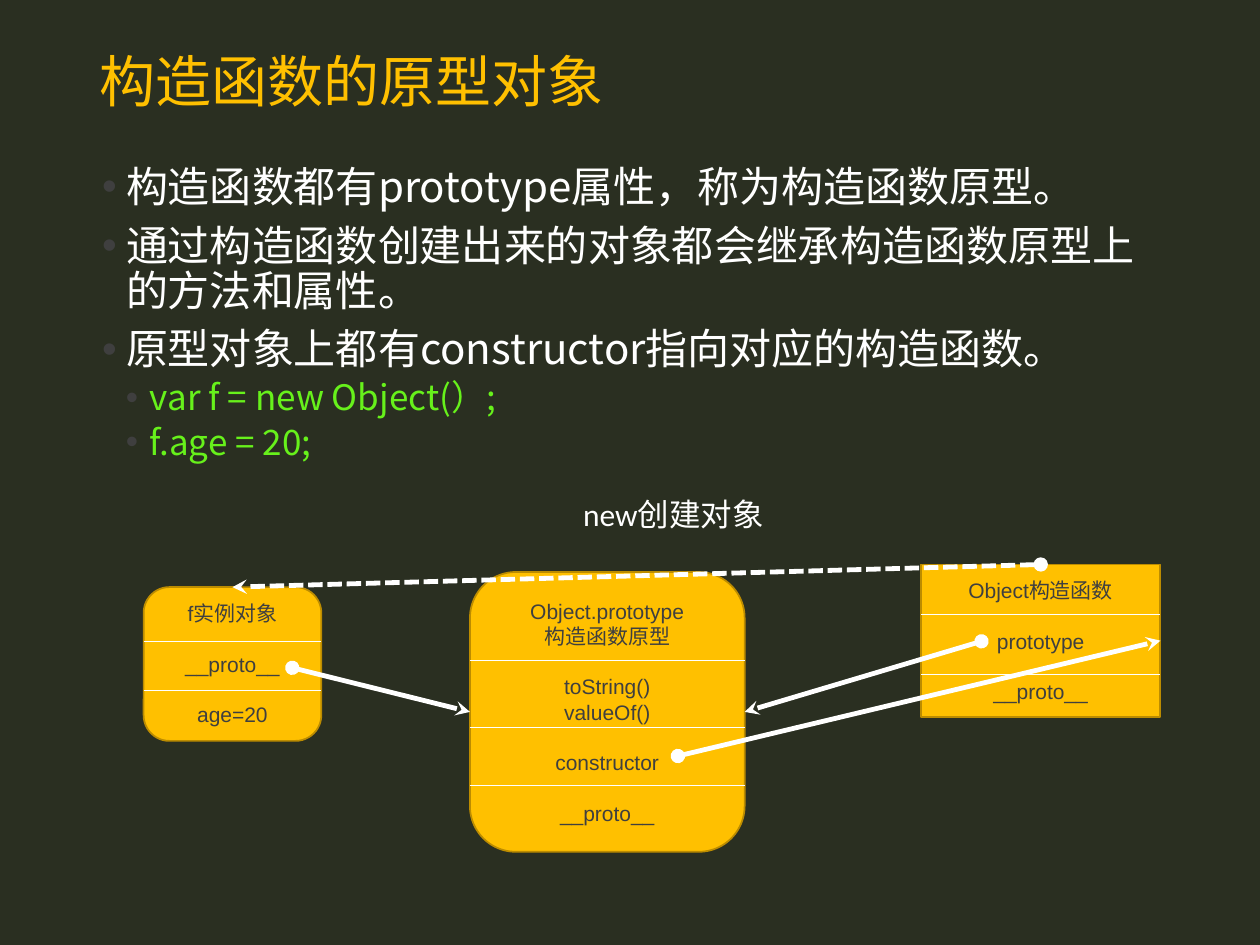
"""Build the slide on the prototype object of a constructor function."""
import pptx
import pptx.util
import pptx.dml.color
import pptx.enum.dml
import pptx.enum.shapes
import pptx.enum.text
import pptx.oxml
import pptx.oxml.ns
from lxml import etree

Inches, Pt = pptx.util.Inches, pptx.util.Pt
RGBColor = pptx.dml.color.RGBColor
Shape = pptx.enum.shapes.MSO_SHAPE
Align = pptx.enum.text.PP_ALIGN
Anchor = pptx.enum.text.MSO_ANCHOR

DARK = RGBColor(0x2A, 0x2F, 0x21)
GOLD = RGBColor(0xFF, 0xC0, 0x00)
BROWN = RGBColor(0xBC, 0x8C, 0x00)
GRAY = RGBColor(0x3F, 0x3F, 0x3F)
GREEN = RGBColor(0x67, 0xF1, 0x1B)
WHITE = RGBColor(0xFF, 0xFF, 0xFF)
SANS = "Noto Sans CJK SC"


def style(para, face, size, color):
    para.font.name = face
    para.font.size = Pt(size)
    para.font.color.rgb = color


def draw_line(start, end, width, arrow=False):
    link = slide.shapes.add_connector(
        pptx.enum.shapes.MSO_CONNECTOR.STRAIGHT,
        Inches(start[0]), Inches(start[1]), Inches(end[0]), Inches(end[1]))
    link.line.color.rgb = WHITE
    link.line.width = Pt(width)
    props = link._element.spPr
    etree.SubElement(props, pptx.oxml.ns.qn("a:effectLst"))
    if arrow:
        for tag, kind in (("a:headEnd", "oval"), ("a:tailEnd", "stealth")):
            etree.SubElement(props.ln, pptx.oxml.ns.qn(tag), type=kind)
    return link


deck = pptx.Presentation()
deck.slide_width, deck.slide_height = Inches(10), Inches(7.5)
slide = deck.slides.add_slide(deck.slide_layouts[1])
slide.background.fill.solid()
slide.background.fill.fore_color.rgb = DARK

title, body = slide.placeholders
title.left, title.top = Inches(0.69), Inches(0.22)
title.width, title.height = Inches(8.63), Inches(0.9)
title.text_frame.text = "构造函数的原型对象"
title.text_frame.vertical_anchor = Anchor.MIDDLE
para = title.text_frame.paragraphs[0]
para.alignment = Align.LEFT
para.line_spacing = 0.9
style(para, SANS, 32, GOLD)

body.left, body.top = Inches(0.71), Inches(1.27)
body.width, body.height = Inches(8.62), Inches(2.91)
points = [
    ("构造函数都有prototype属性，称为构造函数原型。", 0),
    ("通过构造函数创建出来的对象都会继承构造函数原型上的方法和属性。", 0),
    ("原型对象上都有constructor指向对应的构造函数。", 0),
    ("var f = new Object(）;", 1),
    ("f.age = 20;", 1),
]
frame = body.text_frame
frame.auto_size = pptx.enum.text.MSO_AUTO_SIZE.NONE
frame.text = "\n".join(text for text, level in points)
for index, (para, (text, level)) in enumerate(zip(frame.paragraphs, points)):
    para.level = level
    para.line_spacing = 0.9
    para.space_before = Pt((3.7 if level else 7.5) if index else 0)
    props = para._p.get_or_add_pPr()
    props.set("marL", str(Inches(0.19 * (level + 1))))
    props.set("indent", str(Inches(-0.19)))
    tint = etree.SubElement(props, pptx.oxml.ns.qn("a:buClr"))
    etree.SubElement(tint, pptx.oxml.ns.qn("a:srgbClr"), val=str(GRAY))
    etree.SubElement(props, pptx.oxml.ns.qn("a:buChar"), char="•")
    style(para, SANS, 20 if level else 24, GREEN if level else WHITE)

boxes = [
    (Shape.ROUNDED_RECTANGLE, 1.14, 4.66, 1.41, 1.22, (5.09, 5.48),
     [["f实例对象"], ["__proto__"], ["age=20"]]),
    (Shape.RECTANGLE, 7.31, 4.48, 1.9, 1.21, (4.88, 5.35),
     [["Object构造函数"], ["prototype"], ["__proto__"]]),
    (Shape.ROUNDED_RECTANGLE, 3.73, 4.54, 2.18, 2.22, (5.24, 5.77, 6.23),
     [["Object.prototype", "构造函数原型"], ["toString()", "valueOf()"],
      ["constructor"], ["__proto__"]]),
]
nodes = []
for kind, left, top, width, height, rules, groups in boxes:
    node = slide.shapes.add_shape(
        kind, Inches(left), Inches(top), Inches(width), Inches(height))
    node.shadow.inherit = False
    node.fill.solid()
    node.fill.fore_color.rgb = GOLD
    node.line.color.rgb = BROWN
    node.line.width = Pt(1)
    frame = node.text_frame
    frame.vertical_anchor = Anchor.MIDDLE
    frame.text = "\n".join(text for group in groups for text in group)
    firsts = [row == 0 for group in groups for row in range(len(group))]
    for index, (para, first) in enumerate(zip(frame.paragraphs, firsts)):
        para.alignment = Align.CENTER
        para.space_before = Pt(14.5 if first and index else 0)
        style(para, "Arial", 12, GRAY)
    for y in rules:
        draw_line((left, y), (left + width, y), 0.5)
    nodes.append(node)
child, maker, proto = nodes

draw_line((2.32, 5.3), (3.73, 5.65), 2.75, True).end_connect(proto, 1)
draw_line((7.79, 5.09), (5.91, 5.65), 2.75, True).end_connect(proto, 3)
draw_line((5.38, 6), (9.21, 5.09), 2.75, True).end_connect(maker, 3)
create = draw_line((8.26, 4.48), (1.85, 4.66), 2.75, True)
create.line.dash_style = pptx.enum.dml.MSO_LINE.SQUARE_DOT
create.begin_connect(maker, 0)
create.end_connect(child, 0)

label = slide.shapes.add_textbox(
    Inches(4.53), Inches(3.88), Inches(1.7), Inches(0.4))
label.text_frame.word_wrap = True
label.text_frame.text = "new创建对象"
style(label.text_frame.paragraphs[0], "Calibri", 18, WHITE)

deck.save("out.pptx")
